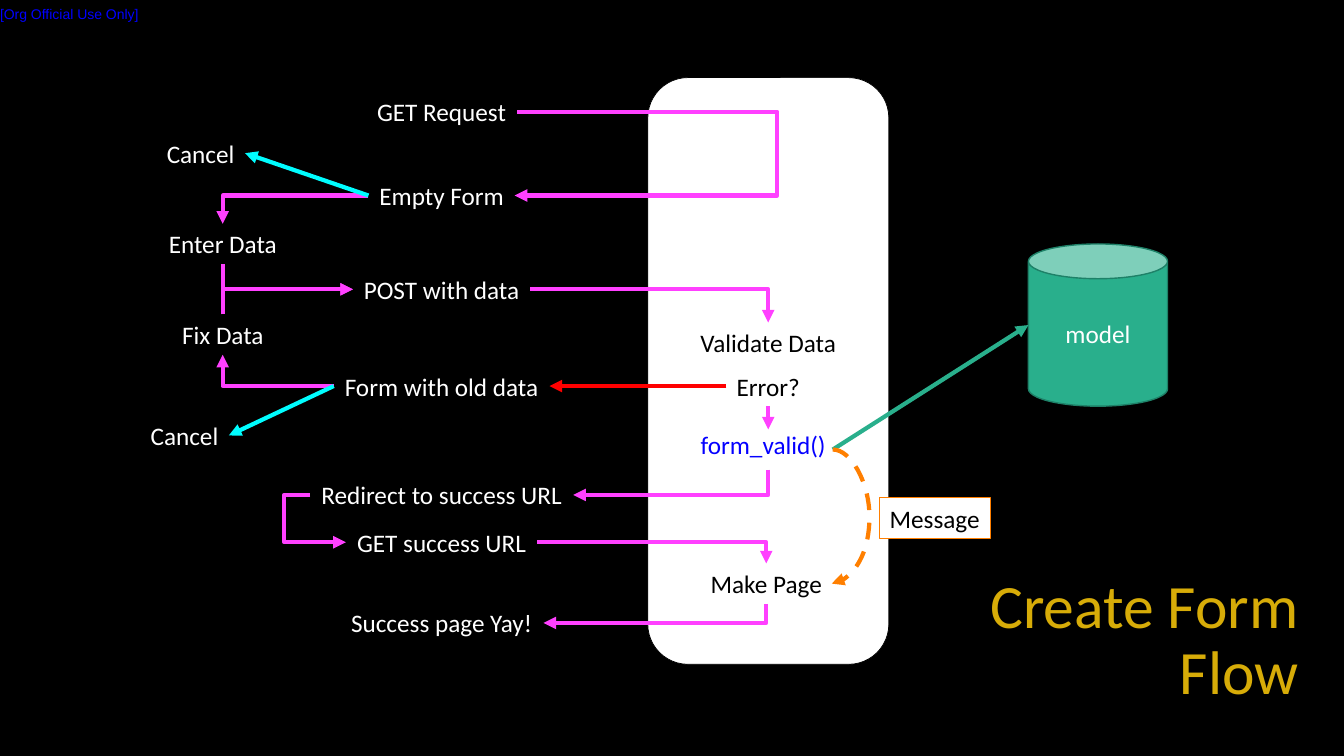
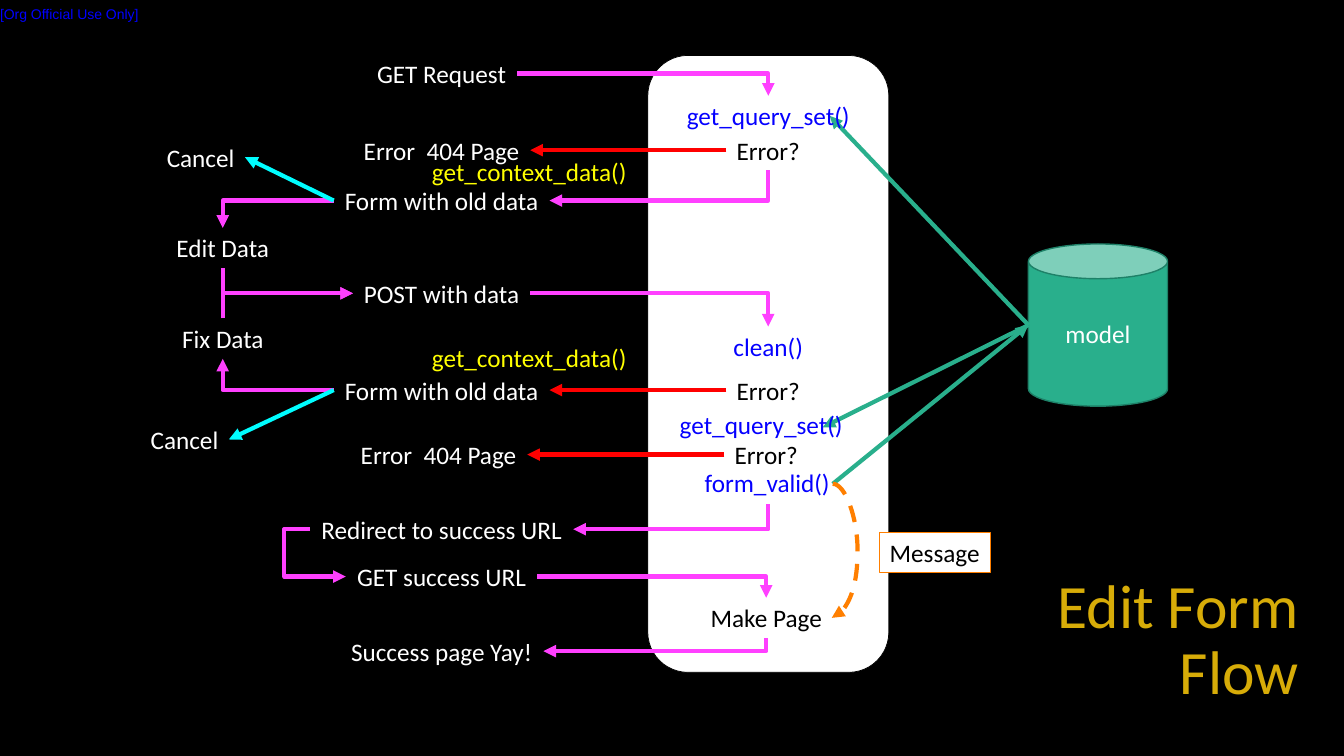
from dataclasses import dataclass

from lxml import etree
from pptx import Presentation
from pptx.dml.color import RGBColor
from pptx.enum.dml import MSO_LINE
from pptx.enum.shapes import MSO_CONNECTOR, MSO_SHAPE
from pptx.enum.text import MSO_ANCHOR, MSO_AUTO_SIZE, PP_ALIGN
from pptx.oxml.ns import qn
from pptx.util import Inches, Pt

STRAIGHT, ELBOW, CURVE = MSO_CONNECTOR.STRAIGHT, MSO_CONNECTOR.ELBOW, MSO_CONNECTOR.CURVE
ROUND, CAN, RECT = MSO_SHAPE.ROUNDED_RECTANGLE, MSO_SHAPE.CAN, MSO_SHAPE.RECTANGLE
LEFT, CENTER, RIGHT = PP_ALIGN.LEFT, PP_ALIGN.CENTER, PP_ALIGN.RIGHT
MIDDLE, TOP = MSO_ANCHOR.MIDDLE, MSO_ANCHOR.TOP
FIT = MSO_AUTO_SIZE.SHAPE_TO_FIT_TEXT
DASH = MSO_LINE.DASH

BLACK, WHITE, GOLD = "000000", "FFFFFF", "D7AC08"
PINK, CYAN, RED = "FF40FF", "00FDFF", "FF0000"
GREEN, DARK_GREEN, ORANGE = "29AF8C", "1E8168", "FF7F00"
METHOD, YELLOW, NOTICE = "0500FF", "FFFF00", "0000FF"

BODY = {"name": "Calibri", "size": Pt(18)}
TITLE = {"name": "Calibri", "size": Pt(44)}
MARK = {"name": "Arial", "size": Pt(10)}

# Column centres: user actions, HTTP traffic, view code
USER, HTTP, VIEW = 2.21, 4.38, 7.62
ROW = 0.4
WIDTHS = {
    "GET Request": 1.5, "Empty Form": 1.45, "Enter Data": 1.29, "Edit Data": 1.13,
    "POST with data": 1.76, "Validate Data": 1.56, "Form with old data": 2.14,
    "Fix Data": 1.02, "Redirect to success URL": 2.61, "GET success URL": 1.9,
    "Success page Yay!": 2.02, "Error?": 0.83, "Cancel": 0.88, "Make Page": 1.3,
    "Message": 1.1, "form_valid()": 1.46, "Error  404 Page": 1.76,
    "get_context_data()": 2.16, "get_query_set()": 1.84, "clean()": 0.9,
}


@dataclass
class Box:
    """A box known by its centre line, top, width and height."""
    cx: float
    top: float
    w: float
    h: float = ROW

    def frame(self):
        return [Inches(v) for v in (self.cx - self.w / 2, self.top, self.w, self.h)]

    def side(self, name):
        x = self.cx + {"l": -1, "r": 1}.get(name, 0) * self.w / 2
        y = self.top + {"t": 0, "b": 1}.get(name, 0.5) * self.h
        return Inches(x), Inches(y)


MODEL = Box(10.89, 2.42, 1.38, 1.61)


def rgb(value):
    return RGBColor.from_string(value)


def write(sp, text, color, font, align=CENTER, anchor=TOP, wrap=False):
    tf = sp.text_frame
    tf.word_wrap, tf.vertical_anchor = wrap, anchor
    p = tf.paragraphs[0]
    p.alignment = align
    r = p.add_run()
    r.text = text
    r.font.color.rgb = rgb(color)
    for key, value in font.items():
        setattr(r.font, key, value)
    return tf, p


def shape(slide, kind, box, fill, line, width):
    sp = slide.shapes.add_shape(kind, *box.frame())
    sp.shadow.inherit = False
    sp.fill.solid()
    sp.fill.fore_color.rgb = rgb(fill)
    sp.line.color.rgb = rgb(line)
    sp.line.width = Pt(width)
    return sp


def label(slide, text, cx, top, color=WHITE):
    box = Box(cx, top, WIDTHS[text])
    tf, _ = write(slide.shapes.add_textbox(*box.frame()), text, color, BODY)
    tf.auto_size = FIT
    return box


def turn_corner(conn, start, end):
    """Make the connector leave vertically and arrive horizontally."""
    dx, dy = end[0] - start[0], end[1] - start[1]
    w, h = abs(dy), abs(dx)
    conn.left = int((start[0] + end[0] - w) / 2)
    conn.top = int((start[1] + end[1] - h) / 2)
    conn.width, conn.height = w, h
    xfrm = conn._element.spPr.find(qn("a:xfrm"))
    for key, value in {"rot": 5400000, "flipH": int(dy < 0), "flipV": int(dx > 0)}.items():
        xfrm.set(key, str(value))


def arrow(slide, source, leave, target, arrive, color=PINK, via=None, kind=None, dash=None):
    """Link a side of one box to a side of another; the sides decide the bends."""
    start, end = source.side(leave), target.side(arrive)
    corner = (leave in "lr") != (arrive in "lr")
    kind = kind or (ELBOW if corner or via else STRAIGHT)
    conn = slide.shapes.add_connector(kind, *start, *end)
    sp_pr = conn._element.spPr
    geom = sp_pr.find(qn("a:prstGeom"))
    if corner:
        geom.set("prst", "bentConnector2")
        if leave in "tb":
            turn_corner(conn, start, end)
    elif via:
        guides = geom.find(qn("a:avLst"))
        if guides is None:
            guides = etree.SubElement(geom, qn("a:avLst"))
        bend = round(100000 * (Inches(via) - start[0]) / (end[0] - start[0]))
        etree.SubElement(guides, qn("a:gd"), name="adj1", fmla=f"val {bend}")
    conn.line.color.rgb = rgb(color)
    conn.line.width = Pt(3)
    if dash:
        conn.line.dash_style = dash
    etree.SubElement(conn.line._get_or_add_ln(), qn("a:tailEnd"), type="triangle")
    etree.SubElement(sp_pr, qn("a:effectLst"))


def base_slide(prs, title, title_width, panel_top, panel_height):
    """Background, notice, title, view panel and model."""
    slide = prs.slides.add_slide(prs.slide_layouts[6])
    slide.background.fill.solid()
    slide.background.fill.fore_color.rgb = rgb(BLACK)
    mark = slide.shapes.add_textbox(*Box(0.9, 0, 1.79, 0.27).frame())
    mark.left = 0
    tf, _ = write(mark, "[Org Official Use Only]", NOTICE, MARK, LEFT, MIDDLE, True)
    for edge in ("left", "right", "top", "bottom"):
        setattr(tf, "margin_" + edge, 0)
    shape(slide, ROUND, Box(VIEW, panel_top, 2.39, panel_height), WHITE, BLACK, 0.5)
    heading = Box(12.98 - title_width / 2, 5.64, title_width, 1.45)
    sp = slide.shapes.add_textbox(*heading.frame())
    _, p = write(sp, title, GOLD, TITLE, RIGHT, MIDDLE, True)
    p.line_spacing = 0.9
    sp = shape(slide, CAN, MODEL, GREEN, DARK_GREEN, 1)
    write(sp, "model", WHITE, BODY, anchor=MIDDLE, wrap=True)
    return slide


def entry_loop(slide, top, form, action, check, check_color):
    """Fill in, post, check and fix the data; returns the error label."""
    cancel = label(slide, "Cancel", 1.99, top - 0.9)
    enter = label(slide, action, USER, top)
    post = label(slide, "POST with data", HTTP, top + 0.45)
    fix = label(slide, "Fix Data", USER, top + 0.9)
    test = label(slide, check, VIEW, top + 0.98, check_color)
    old = label(slide, "Form with old data", HTTP, top + 1.41)
    error = label(slide, "Error?", VIEW, top + 1.41, BLACK)
    give_up = label(slide, "Cancel", 1.83, top + 1.9)
    arrow(slide, form, "l", enter, "t")
    arrow(slide, form, "l", cancel, "r", CYAN)
    arrow(slide, enter, "b", post, "l")
    arrow(slide, fix, "t", post, "l")
    arrow(slide, post, "r", test, "t")
    arrow(slide, error, "l", old, "r", RED)
    arrow(slide, old, "l", fix, "b")
    arrow(slide, old, "l", give_up, "r", CYAN)
    return error


def success_path(slide, top, page_top, bow):
    """Save to the model, redirect and show the page; returns the save step."""
    save = Box(VIEW, top, 1.28)
    redirect = label(slide, "Redirect to success URL", HTTP, top + 0.45)
    get = label(slide, "GET success URL", HTTP, top + 0.92)
    make = label(slide, "Make Page", 7.6, top + 1.33, BLACK)
    page = label(slide, "Success page Yay!", HTTP, page_top)
    arrow(slide, save, "r", MODEL, "l", GREEN)
    arrow(slide, save, "b", redirect, "r")
    arrow(slide, redirect, "l", get, "l", via=2.82)
    arrow(slide, get, "r", make, "t")
    arrow(slide, make, "b", page, "r")
    arrow(slide, save, "r", make, "r", ORANGE, bow, CURVE, DASH)
    box = Box(9.27, top + 0.68, WIDTHS["Message"])
    write(shape(slide, RECT, box, WHITE, ORANGE, 0.75), "Message", BLACK, BODY)
    return save


def create_slide(prs):
    slide = base_slide(prs, "Create Form Flow", 3.45, 0.77, 5.82)
    request = label(slide, "GET Request", HTTP, 0.91)
    form = label(slide, "Empty Form", HTTP, 1.74)
    arrow(slide, request, "r", form, "r", via=7.69)
    error = entry_loop(slide, 2.22, form, "Enter Data", "Validate Data", BLACK)
    save = success_path(slide, 4.26, 5.98, 8.63)
    arrow(slide, error, "b", save, "t")
    label(slide, "form_valid()", 7.57, 4.21, METHOD)


def edit_slide(prs):
    slide = base_slide(prs, "Edit Form Flow", 2.98, 0.55, 6.12)
    # Load the record
    request = label(slide, "GET Request", HTTP, 0.53)
    form = label(slide, "Form with old data", HTTP, 1.79)
    query = Box(VIEW, 0.95, 1.22)
    requery = Box(7.55, 4.04, 1.22)
    arrow(slide, request, "r", query, "t")
    for target in (query, requery):
        arrow(slide, MODEL, "l", target, "r", GREEN)
    # Lookup failures
    errors = []
    for view_x, page_x, top in ((VIEW, HTTP, 1.29), (7.6, 4.35, 4.31)):
        error = label(slide, "Error?", view_x, top, BLACK)
        missing = label(slide, "Error  404 Page", page_x, top)
        arrow(slide, error, "l", missing, "r", RED)
        errors.append(error)
    arrow(slide, errors[0], "b", form, "r")
    # Edit and save
    entry_loop(slide, 2.26, form, "Edit Data", "clean()", METHOD)
    success_path(slide, 4.6, 6.26, 8.51)
    # Methods to override
    for text, cx, top, color in (
        ("get_context_data()", 5.25, 1.5, YELLOW),
        ("get_context_data()", 5.25, 3.35, YELLOW),
        ("get_query_set()", VIEW, 0.95, METHOD),
        ("get_query_set()", 7.55, 4.01, METHOD),
        ("form_valid()", 7.61, 4.59, METHOD),
    ):
        label(slide, text, cx, top, color)


def main():
    prs = Presentation()
    prs.slide_width, prs.slide_height = Inches(13.33), Inches(7.5)
    create_slide(prs)
    edit_slide(prs)
    prs.save("out.pptx")


if __name__ == "__main__":
    main()
